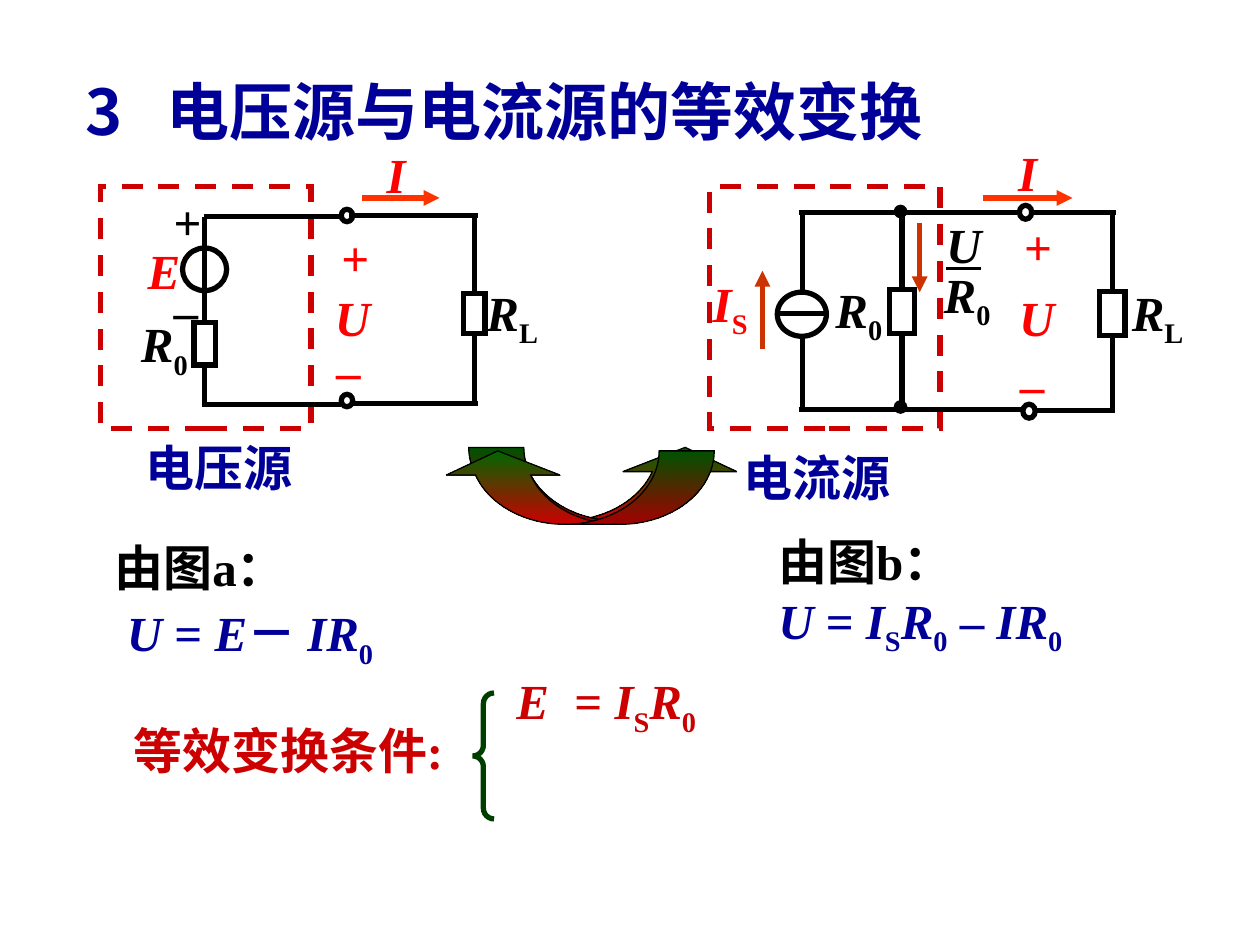
from lxml import etree
from pptx import Presentation
from pptx.dml.color import RGBColor
from pptx.enum.dml import MSO_LINE
from pptx.enum.shapes import MSO_CONNECTOR, MSO_SHAPE as SHAPE
from pptx.enum.text import MSO_ANCHOR as ANCHOR, PP_ALIGN as ALIGN
from pptx.oxml.ns import qn
from pptx.util import Cm, Pt

COLORS = {
    "ink": "000000", "navy": "000099", "red": "FF0000", "crimson": "CC0000",
    "orange": "FF3300", "rust": "CC3300", "green": "006600", "brace": "003E00",
}
LATIN, CJK = "Times New Roman", "Noto Sans CJK SC"
R0 = [("R", "i"), ("0", "s")]
RL = [("R", "i"), ("L", "s")]
IS = [("I", "i"), ("S", "s")]


def rgb(name):
    return RGBColor.from_string(COLORS[name])


def add_run(p, text, style, color, size, latin):
    r = p.add_run()
    r.text = text
    font = r.font
    font.size, font.name, font.bold = Pt(size), latin, True
    font.italic = "i" in style
    font.underline = "u" in style
    font.color.rgb = rgb(color)
    rPr = r._r.get_or_add_rPr()
    etree.SubElement(rPr, qn("a:ea")).set("typeface", CJK)
    if "s" in style:
        rPr.set("baseline", "-25000")


def add_text(s, box, paragraphs, align=ALIGN.LEFT, anchor=ANCHOR.TOP, size=28,
             latin=LATIN, spacing=None, before=0, tab=None, wrap=True):
    tf = s.shapes.add_textbox(*map(Cm, box)).text_frame
    tf.word_wrap = wrap
    tf.vertical_anchor = anchor
    for i, (color, runs) in enumerate(paragraphs):
        p = tf.paragraphs[0] if i == 0 else tf.add_paragraph()
        p.alignment = align
        if spacing:
            p.line_spacing = spacing
        if i and before:
            p.space_before = Pt(before)
        if tab:
            stops = etree.SubElement(p._p.get_or_add_pPr(), qn("a:tabLst"))
            etree.SubElement(stops, qn("a:tab"), pos=str(Cm(tab)), algn="l")
        for text, style in runs:
            add_run(p, text, style, color, size, latin)
    return tf


def add_label(s, x, y, w, runs, color="ink"):
    h = 1.6 if any(style == "s" for _, style in runs) else 1.45
    add_text(s, (x, y, w, h), [(color, runs)], ALIGN.CENTER, ANCHOR.MIDDLE, wrap=False)


def add_outline(s, kind, box, color="ink", width=3, fill=None, dash=None):
    sp = s.shapes.add_shape(kind, *map(Cm, box))
    sp.shadow.inherit = False
    if fill:
        sp.fill.solid()
        sp.fill.fore_color.rgb = rgb(fill)
    else:
        sp.fill.background()
    sp.line.color.rgb = rgb(color)
    sp.line.width = Pt(width)
    if dash:
        sp.line.dash_style = dash
    etree.SubElement(sp.line._get_or_add_ln(), qn("a:miter"), lim="800000")
    return sp


def add_wire(s, x1, y1, x2, y2, color="ink", arrow=False):
    wire = s.shapes.add_connector(MSO_CONNECTOR.STRAIGHT, Cm(x1), Cm(y1), Cm(x2), Cm(y2))
    wire.line.color.rgb = rgb(color)
    wire.line.width = Pt(3)
    if arrow:
        etree.SubElement(wire.line._get_or_add_ln(), qn("a:tailEnd"), type="triangle")
    etree.SubElement(wire._element.spPr, qn("a:effectLst"))
    return wire


def add_resistor(s, x, y, w, h, top, bottom):
    body = add_outline(s, SHAPE.RECTANGLE, (x, y, w, h))
    cx = x + w / 2
    add_wire(s, cx, y, cx, top).begin_connect(body, 0)
    add_wire(s, cx, y + h, cx, bottom).begin_connect(body, 2)


def add_swoop(s, x, y, flipped=False):
    sp = add_outline(s, SHAPE.CURVED_UP_ARROW, (x, y, 5.51, 1.48), width=0.75)
    for i, value in enumerate((0.75, 1.55, 0.33)):
        sp.adjustments[i] = value
    sp.fill.gradient()
    sp.fill.gradient_angle = 270
    for stop, color, position in zip(sp.fill.gradient_stops, ("green", "crimson"), (0, 1)):
        stop.color.rgb = rgb(color)
        stop.position = position
    if flipped:
        sp._element.spPr.find(qn("a:xfrm")).set("flipH", "1")


def add_voltage_source(s):
    add_outline(s, SHAPE.RECTANGLE, (2.03, 3.76, 4.24, 4.88), "crimson", dash=MSO_LINE.DASH)
    add_resistor(s, 9.35, 5.92, 0.43, 0.81, 4.34, 8.18)
    add_resistor(s, 3.91, 6.5, 0.43, 0.86, 4.37, 8.2)
    add_outline(s, SHAPE.OVAL, (3.68, 5, 0.89, 0.86))
    for x1, x2, y in ((7.04, 9.63, 4.34), (7.09, 9.63, 8.13),
                      (4.11, 6.88, 4.37), (4.14, 6.88, 8.15)):
        add_wire(s, x1, y, x2, y)
    for y in (4.22, 7.95):
        add_outline(s, SHAPE.OVAL, (6.88, y, 0.23, 0.25))
    add_wire(s, 7.29, 3.99, 8.86, 3.99, "orange", True)
    add_label(s, 7.54, 2.79, 0.89, [("I", "i")], "red")
    add_label(s, 9.55, 5.56, 1.55, RL)
    add_label(s, 2.59, 6.2, 1.45, R0)
    add_label(s, 2.72, 4.72, 1.17, [("E", "i")], "red")
    add_label(s, 6.5, 5.66, 1.22, [("U", "i")], "red")
    add_label(s, 6.35, 4.45, 1.63, [("+", "")], "red")
    add_label(s, 6.48, 6.73, 1.09, [("–", "")], "red")
    add_label(s, 2.52, 8.69, 3.8, [("电压源", "")], "navy")
    add_text(s, (3.25, 3.73, 0.89, 3.25), [("ink", [("+", "")]), ("ink", [("–", "")])],
             ALIGN.CENTER, ANCHOR.MIDDLE, before=17.5)


def add_current_source(s):
    add_outline(s, SHAPE.RECTANGLE, (14.3, 3.76, 4.65, 4.88), "crimson", dash=MSO_LINE.DASH)
    add_outline(s, SHAPE.OVAL, (15.67, 5.89, 0.99, 0.89))
    add_resistor(s, 22.17, 5.87, 0.51, 0.89, 4.32, 8.28)
    add_resistor(s, 17.93, 5.84, 0.51, 0.89, 4.29, 8.26)
    for x1, x2, y in ((15.67, 16.66, 6.32), (16.1, 20.5, 4.29), (16.1, 20.62, 8.26),
                      (20.8, 22.5, 4.29), (20.88, 22.48, 8.28)):
        add_wire(s, x1, y, x2, y)
    for y1, y2 in ((4.34, 5.89), (6.78, 8.31)):
        add_wire(s, 16.18, y1, 16.18, y2)
    for x, y in ((20.55, 4.14), (20.62, 8.15)):
        add_outline(s, SHAPE.OVAL, (x, y, 0.25, 0.28))
    for y in (4.14, 8.08):
        add_outline(s, SHAPE.OVAL, (18.03, y, 0.25, 0.25), width=0.75, fill="ink")
    add_wire(s, 19.81, 3.99, 21.62, 3.99, "orange", True)
    add_wire(s, 18.54, 4.5, 18.54, 5.89, "rust", True)
    add_wire(s, 15.37, 7.04, 15.37, 5.46, "rust", True)
    add_label(s, 22.56, 5.56, 1.55, RL)
    add_label(s, 16.59, 5.51, 1.45, R0)
    add_label(s, 18.77, 5.21, 1.45, R0)
    add_label(s, 18.82, 4.19, 1.22, [("U", "iu")])
    add_label(s, 20.29, 5.66, 1.22, [("U", "i")], "red")
    add_label(s, 14.02, 5.38, 1.4, IS, "red")
    add_label(s, 20.27, 2.74, 0.89, [("I", "i")], "red")
    add_label(s, 20.14, 4.24, 1.57, [("+", "")], "red")
    add_label(s, 20.02, 7.01, 1.57, [("–", "")], "red")
    add_label(s, 14.57, 8.89, 3.8, [("电流源", "")], "navy")


def add_equations(s):
    minus_drop = [("IR", "i"), ("0", "s")]
    tf = add_text(s, (2.06, 10.59, 6.2, 3.05), [
        ("ink", [("由图a：", "")]),
        ("navy", [("U", "i"), (" = ", ""), ("E", "i"), ("－ ", "")] + minus_drop),
    ], spacing=1.1)
    tf.paragraphs[1]._p.get_or_add_pPr().set("marL", str(Cm(0.25)))
    add_text(s, (15.44, 10.59, 7.42, 2.79), [
        ("ink", [("由图b：", "")]),
        ("navy", [("U", "i"), (" = ", "")] + IS + R0 + [(" – ", "")] + minus_drop),
    ])
    add_text(s, (2.44, 14.4, 7.2, 1.45), [("crimson", [("等效变换条件:", "")])])
    add_text(s, (10.16, 13.13, 5.72, 1.88),
             [("crimson", [("E", "i"), ("\t= ", "")] + IS + R0)], spacing=1.2, tab=1.17)
    brace = add_outline(s, SHAPE.LEFT_BRACE, (9.53, 13.97, 0.43, 2.54), "brace")
    brace.adjustments[0] = 0.5


def main():
    prs = Presentation()
    prs.slide_width, prs.slide_height = Cm(25.4), Cm(19.05)
    s = prs.slides.add_slide(prs.slide_layouts[6])
    add_text(s, (1.47, 1.27, 18.62, 1.91), [("navy", [("3\t电压源与电流源的等效变换", "")])],
             anchor=ANCHOR.MIDDLE, size=36, latin=CJK, tab=1.63)
    add_voltage_source(s)
    add_swoop(s, 9.45, 9.02)
    add_equations(s)
    add_swoop(s, 8.89, 9.09, flipped=True)
    add_current_source(s)
    prs.save("out.pptx")


if __name__ == "__main__":
    main()
